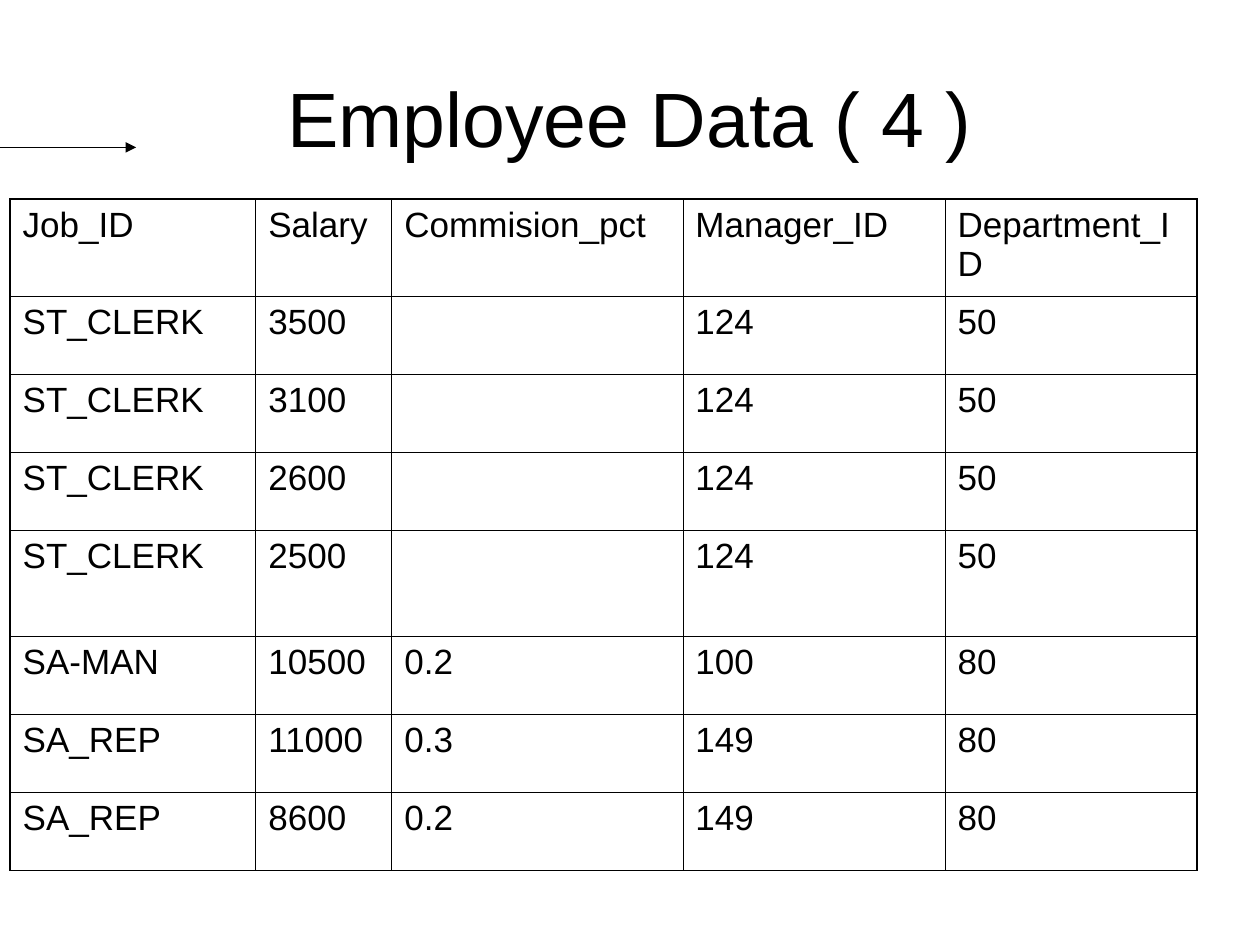
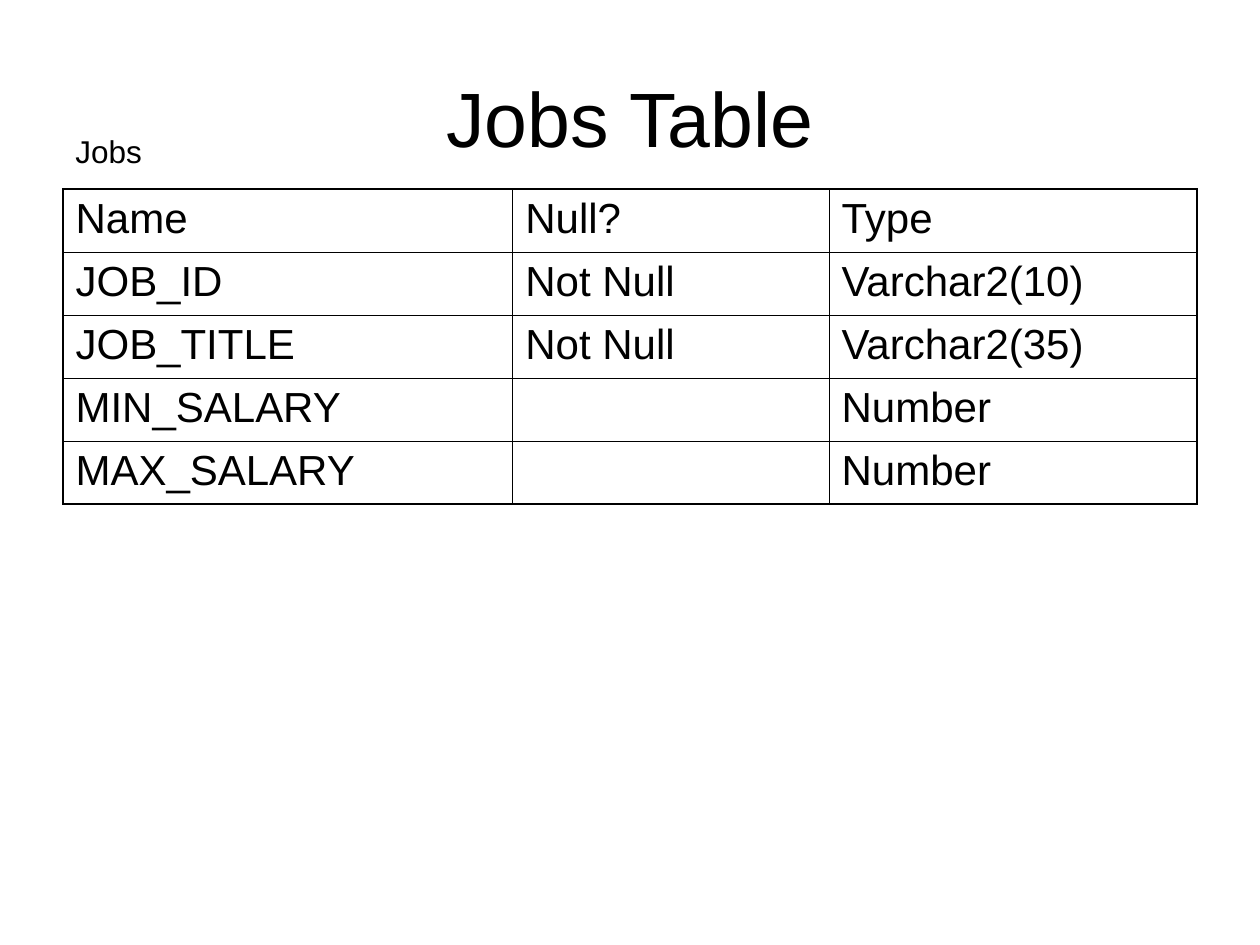
import dataclasses

import lxml.etree
import pptx
import pptx.dml.color
import pptx.enum.shapes
import pptx.enum.text
import pptx.oxml.ns
import pptx.util


@dataclasses.dataclass(frozen=True)
class Theme:
    font: str = "Arial"
    ink: str = "000000"
    title_size: int = 44
    label_size: int = 18
    outer_line: float = 1.08
    inner_line: float = 0.45
    arrow_line: float = 0.75


theme = Theme()
ink = pptx.dml.color.RGBColor.from_string(theme.ink)
inch = pptx.util.Inches
qn = pptx.oxml.ns.qn


def style(para, size):
    para.font.name = theme.font
    para.font.size = pptx.util.Pt(size)
    para.font.color.rgb = ink


def add_border(cell, side, width):
    line = lxml.etree.SubElement(cell._tc.get_or_add_tcPr(), qn(f"a:ln{side}"),
                                 w=str(pptx.util.Pt(width)))
    fill = lxml.etree.SubElement(line, qn("a:solidFill"))
    lxml.etree.SubElement(fill, qn("a:srgbClr"), val=theme.ink)


# Content: table places in inches, then column widths, row heights and cells
pages = [
    {
        "title": "Employee Data ( 4 )",
        "left": 0.08, "top": 1.58, "size": 20,
        "columns": [1.95, 1.08, 2.31, 2.08, 2],
        "heights": [0.77] + [0.62] * 3 + [0.84] + [0.62] * 3,
        "rows": [
            ["Job_ID", "Salary", "Commision_pct", "Manager_ID", "Department_ID"],
            ["ST_CLERK", "3500", "", "124", "50"],
            ["ST_CLERK", "3100", "", "124", "50"],
            ["ST_CLERK", "2600", "", "124", "50"],
            ["ST_CLERK", "2500", "", "124", "50"],
            ["SA-MAN", "10500", "0.2", "100", "80"],
            ["SA_REP", "11000", "0.3", "149", "80"],
            ["SA_REP", "8600", "0.2", "149", "80"],
        ],
    },
    {
        "title": "Jobs Table",
        "left": 0.5, "top": 1.5, "size": 24,
        "columns": [3.57, 2.51, 2.92],
        "heights": [0.5] * 5,
        "rows": [
            ["Name", "Null?", "Type"],
            ["JOB_ID", "Not Null", "Varchar2(10)"],
            ["JOB_TITLE", "Not Null", "Varchar2(35)"],
            ["MIN_SALARY", "", "Number"],
            ["MAX_SALARY", "", "Number"],
        ],
    },
]

deck = pptx.Presentation()
deck.slide_width, deck.slide_height = inch(10), inch(7.5)

for content in pages:
    page = deck.slides.add_slide(deck.slide_layouts[5])

    # Title
    title = page.shapes.title
    title.left, title.top = int(deck.slide_width * 0.05), int(deck.slide_height * 0.04)
    title.width, title.height = int(deck.slide_width * 0.9), inch(1.25)
    title.text_frame.text = content["title"]
    title.text_frame.auto_size = pptx.enum.text.MSO_AUTO_SIZE.NONE
    title.text_frame.vertical_anchor = pptx.enum.text.MSO_ANCHOR.MIDDLE
    heading = title.text_frame.paragraphs[0]
    heading.alignment = pptx.enum.text.PP_ALIGN.CENTER
    style(heading, theme.title_size)

    # Table grid
    columns, heights = content["columns"], content["heights"]
    table = page.shapes.add_table(
        len(heights), len(columns), inch(content["left"]), inch(content["top"]),
        inch(sum(columns)), inch(sum(heights))).table
    table.first_row = table.horz_banding = False
    for column, width in zip(table.columns, columns):
        column.width = inch(width)
    for row, height in zip(table.rows, heights):
        row.height = inch(height)

    # Cells: heavier lines on the outside edges
    last_row, last_column = len(heights) - 1, len(columns) - 1
    for r, texts in enumerate(content["rows"]):
        for c, text in enumerate(texts):
            cell = table.cell(r, c)
            cell.text = text
            style(cell.text_frame.paragraphs[0], content["size"])
            edges = {"L": c == 0, "R": c == last_column, "T": r == 0, "B": r == last_row}
            for side, is_outer in edges.items():
                add_border(cell, side, theme.outer_line if is_outer else theme.inner_line)
            cell.fill.background()

employee_page, jobs_page = deck.slides

# Arrow from the slide's left edge
arrow = employee_page.shapes.add_connector(
    pptx.enum.shapes.MSO_CONNECTOR.STRAIGHT, 0, inch(1.17), inch(1.08), inch(1.17))
arrow.line.color.rgb = ink
arrow.line.width = pptx.util.Pt(theme.arrow_line)
lxml.etree.SubElement(arrow.line._get_or_add_ln(), qn("a:tailEnd"), type="triangle")
lxml.etree.SubElement(arrow._element.spPr, qn("a:effectLst"))

# Label above the jobs table
label = jobs_page.shapes.add_textbox(inch(0.5), inch(1), inch(0.73), inch(0.4))
label.text_frame.word_wrap = False
label.text_frame.auto_size = pptx.enum.text.MSO_AUTO_SIZE.SHAPE_TO_FIT_TEXT
label.text_frame.text = "Jobs"
style(label.text_frame.paragraphs[0], theme.label_size)

deck.save("out.pptx")
